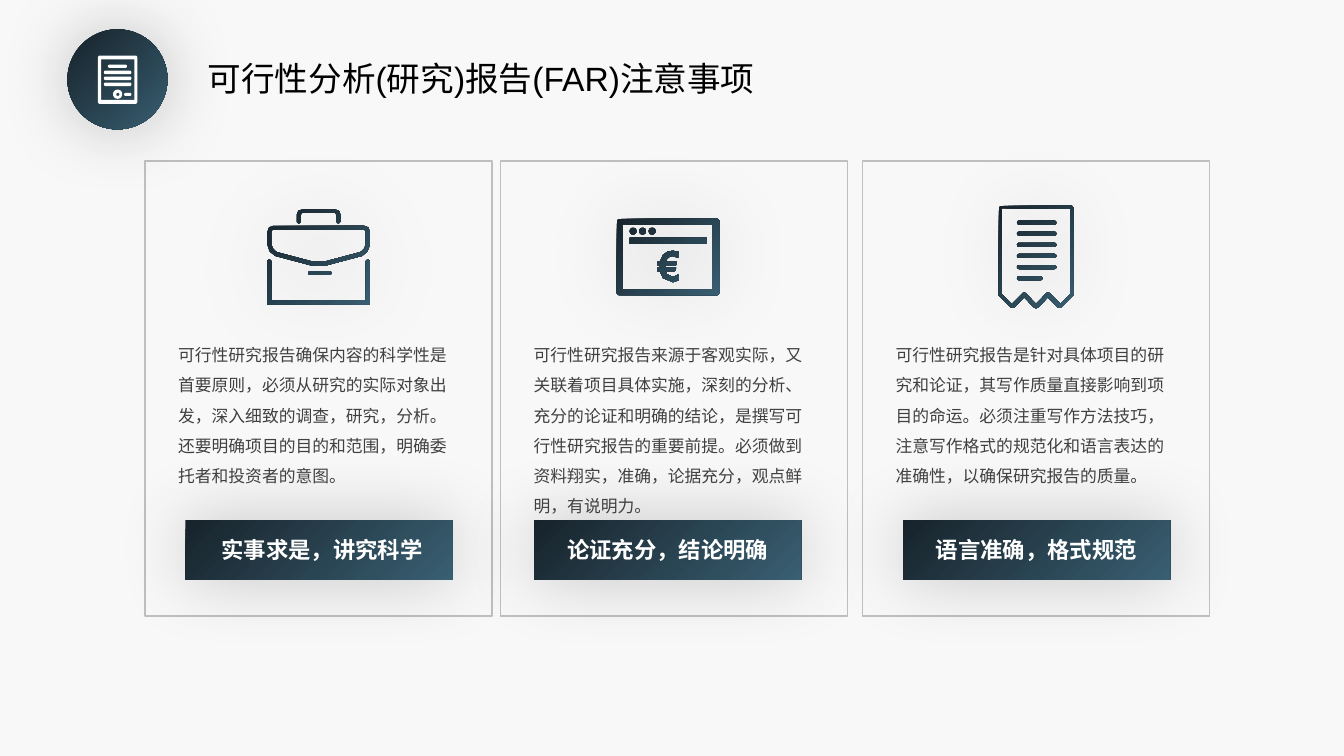
from math import cos, pi, sin

from lxml import etree
from pptx import Presentation
from pptx.dml.color import RGBColor
from pptx.enum.shapes import MSO_SHAPE
from pptx.enum.text import MSO_ANCHOR, MSO_AUTO_SIZE, PP_ALIGN
from pptx.oxml import parse_xml
from pptx.oxml.ns import nsdecls, qn
from pptx.util import Cm, Pt

RECT, OVAL = MSO_SHAPE.RECTANGLE, MSO_SHAPE.OVAL
LEFT, CENTER = PP_ALIGN.LEFT, PP_ALIGN.CENTER
TOP = MSO_ANCHOR.TOP
FIXED = MSO_AUTO_SIZE.NONE
COLORS = {
    "background": "F8F8F8", "border": "BFBFBF", "dark": "17232B", "teal": "395F72",
    "body": "404040", "title": "000000", "white": "FFFFFF", "shadow": "000000",
}
CJK, LATIN = "Noto Sans CJK SC", "Arial"


def rgb(name):
    return RGBColor.from_string(COLORS[name])


def rounded(x, y, w, h, r=0):
    if not r:
        return [(x, y), (x + w, y), (x + w, y + h), (x, y + h)]
    corners = [(x + w - r, y + h - r), (x + r, y + h - r), (x + r, y + r), (x + w - r, y + r)]
    return [
        (cx + r * cos((i + k / 6) * pi / 2), cy + r * sin((i + k / 6) * pi / 2))
        for i, (cx, cy) in enumerate(corners) for k in range(7)
    ]


def mirrored(axis, half):
    return half + [(2 * axis - x, y) for x, y in reversed(half)]


def briefcase():
    return [
        rounded(1.04, 1.55, 0.58, 0.1, 0.05),
        mirrored(1.3, [(1.3, 2.39), (2.59, 2.39), (2.59, 1.3), (2.54, 1.25),
                       (2.49, 1.3), (2.49, 2.29), (1.3, 2.29)]),
        mirrored(1.3, [(1.3, 0.41), (2.44, 0.41), (2.55, 0.45), (2.59, 0.56), (2.59, 0.89),
                       (2.53, 1.06), (2.39, 1.17), (1.52, 1.4), (1.3, 1.42)]),
        mirrored(1.3, [(1.3, 0.51), (2.46, 0.51), (2.49, 0.56), (2.49, 0.89), (2.44, 1.0),
                       (2.36, 1.07), (1.5, 1.3), (1.3, 1.32)]),
        mirrored(1.3, [(1.3, 0), (1.71, 0), (1.81, 0.03), (1.85, 0.13), (1.85, 0.31),
                       (1.8, 0.36), (1.75, 0.31), (1.75, 0.13), (1.71, 0.08), (1.3, 0.08)]),
    ]


def browser():
    euro = [
        (1.42, 0.81), (1.57, 0.84), (1.55, 0.99), (1.42, 0.94), (1.32, 0.97), (1.27, 1.02),
        (1.24, 1.09), (1.52, 1.09), (1.5, 1.17), (1.22, 1.17), (1.22, 1.24), (1.5, 1.24),
        (1.47, 1.32), (1.24, 1.32), (1.27, 1.4), (1.42, 1.47), (1.57, 1.4), (1.57, 1.55),
        (1.42, 1.6), (1.17, 1.5), (1.09, 1.32), (1.02, 1.32), (1.02, 1.24), (1.07, 1.24),
        (1.07, 1.17), (1.02, 1.17), (1.02, 1.09), (1.09, 1.09), (1.17, 0.91), (1.29, 0.83),
    ]
    dots = [rounded(0.33 + 0.24 * i, 0.23, 0.17, 0.17, 0.08) for i in range(3)]
    return [rounded(0, 0, 2.59, 1.93, 0.08), rounded(0.15, 0.15, 2.26, 1.63),
            rounded(0.33, 0.48, 1.93, 0.15), euro] + dots


def receipt():
    rows = [rounded(0.46, 0.38 + 0.28 * i, 0.64 if i == 5 else 0.99, 0.1, 0.05) for i in range(6)]
    return rows + [
        mirrored(0.94, [(0.94, 0), (1.84, 0), (1.88, 0.05), (1.88, 2.26), (1.85, 2.3),
                        (1.57, 2.58), (1.5, 2.58), (1.24, 2.31), (0.99, 2.57), (0.94, 2.59)]),
        mirrored(0.94, [(0.94, 0.08), (1.8, 0.08), (1.8, 2.23), (1.55, 2.48),
                        (1.27, 2.2), (1.21, 2.2), (0.94, 2.48)]),
    ]


def document():
    rows = [rounded(0.15, 0.38 + 0.15 * i, 0.69, 0.09, 0.04) for i in range(3)]
    return rows + [
        rounded(0, 0, 0.99, 1.22, 0.05), rounded(0.08, 0.1, 0.84, 1.02),
        rounded(0.25, 0.23, 0.48, 0.08, 0.04), rounded(0.38, 0.86, 0.23, 0.23, 0.11),
        rounded(0.46, 0.94, 0.08, 0.08, 0.04), rounded(0.66, 0.94, 0.18, 0.08, 0.04),
    ]


class Deck:
    def __init__(self):
        self.prs = Presentation()
        self.prs.slide_width, self.prs.slide_height = Cm(33.87), Cm(19.05)
        self.s = self.prs.slides.add_slide(self.prs.slide_layouts[5])
        self.s.background.fill.solid()
        self.s.background.fill.fore_color.rgb = rgb("background")
        self.shapes = self.s.shapes

    def group(self):
        self.shapes = self.s.shapes.add_group_shape().shapes

    def glow(self, sp):
        sp.line.fill.background()
        sp._element.spPr.append(parse_xml(
            f'<a:effectLst {nsdecls("a")}><a:outerShdw blurRad="{Pt(53)}" dist="0" dir="0" '
            f'algn="ctr" rotWithShape="0"><a:srgbClr val="{COLORS["shadow"]}">'
            '<a:alpha val="20000"/></a:srgbClr></a:outerShdw></a:effectLst>'))

    def gradient(self, sp):
        sp.fill.gradient()
        sp.fill.gradient_angle = 315
        for stop, name in zip(sp.fill.gradient_stops, ("dark", "teal")):
            stop.color.rgb = rgb(name)

    def frame(self, x, y, w, h):
        sp = self.shapes.add_shape(RECT, Cm(x), Cm(y), Cm(w), Cm(h))
        sp.shadow.inherit = False
        sp.fill.background()
        sp.line.color.rgb = rgb("border")
        sp.line.width = Pt(1)

    def panel(self, kind, x, y, w, h):
        sp = self.shapes.add_shape(kind, Cm(x), Cm(y), Cm(w), Cm(h))
        self.gradient(sp)
        self.glow(sp)

    def icon(self, x, y, contours, color=None):
        scaled = [[(px * 1000, py * 1000) for px, py in points] for points in contours]
        builder = self.shapes.build_freeform(*scaled[0][0], scale=Cm(0.001))
        builder.add_line_segments(scaled[0][1:])
        for points in scaled[1:]:
            builder.move_to(*points[0])
            builder.add_line_segments(points[1:])
        sp = builder.convert_to_shape(Cm(x), Cm(y))
        if color:
            sp.fill.solid()
            sp.fill.fore_color.rgb = rgb(color)
        else:
            self.gradient(sp)
        self.glow(sp)

    def style_text(self, sp, text, size, color, font=CJK, bold=False, align=LEFT, spacing=1.0):
        tf = sp.text_frame
        tf.text = text
        tf.word_wrap = True
        tf.auto_size = FIXED
        tf.vertical_anchor = TOP
        p = tf.paragraphs[0]
        p.alignment, p.line_spacing = align, spacing
        r = p.runs[0]
        r.font.name, r.font.size, r.font.bold = font, Pt(size), bold
        r.font.color.rgb = rgb(color)
        etree.SubElement(r.font._element, qn("a:ea")).set("typeface", font)

    def text(self, x, y, w, h, text, size, color, **style):
        sp = self.shapes.add_textbox(Cm(x), Cm(y), Cm(w), Cm(h))
        self.style_text(sp, text, size, color, **style)

    def title(self, x, y, w, h, text):
        sp = self.s.shapes.title
        sp.left, sp.top, sp.width, sp.height = Cm(x), Cm(y), Cm(w), Cm(h)
        self.style_text(sp, text, 24, "title", font=LATIN)


CARDS = [
    (3.66, 4.67, 4.83, (6.73, 5.28), briefcase(), "实事求是，讲究科学",
     "可行性研究报告确保内容的科学性是首要原则，必须从研究的实际对象出发，深入细致的调查，研究，分析。"
     "还要明确项目的目的和范围，明确委托者和投资者的意图。"),
    (12.62, 13.46, 13.54, (15.54, 5.51), browser(), "论证充分，结论明确",
     "可行性研究报告来源于客观实际，又关联着项目具体实施，深刻的分析、充分的论证和明确的结论，"
     "是撰写可行性研究报告的重要前提。必须做到资料翔实，准确，论据充分，观点鲜明，有说明力。"),
    (21.74, 22.76, 22.83, (25.17, 5.18), receipt(), "语言准确，格式规范",
     "可行性研究报告是针对具体项目的研究和论证，其写作质量直接影响到项目的命运。"
     "必须注重写作方法技巧，注意写作格式的规范化和语言表达的准确性，以确保研究报告的质量。"),
]


def main():
    deck = Deck()
    deck.title(4.98, 1.32, 14.43, 1.27, "可行性分析(研究)报告(FAR)注意事项")
    for card_x, button_x, label_x, icon_at, contours, label, body in CARDS:
        deck.group()
        deck.frame(card_x, 4.06, 8.74, 11.46)
        deck.icon(*icon_at, contours)
        deck.panel(RECT, button_x, 13.11, 6.73, 1.5)
        deck.text(card_x + 0.58, 8.31, 7.59, 4.11, body, 12, "body", spacing=1.5)
        deck.text(label_x, 13.26, 6.58, 1.17, label, 16, "white",
                  bold=True, align=CENTER, spacing=1.2)
    deck.group()
    deck.panel(OVAL, 1.7, 0.74, 2.52, 2.52)
    deck.icon(2.47, 1.4, document(), "white")
    deck.prs.save("out.pptx")


if __name__ == "__main__":
    main()
